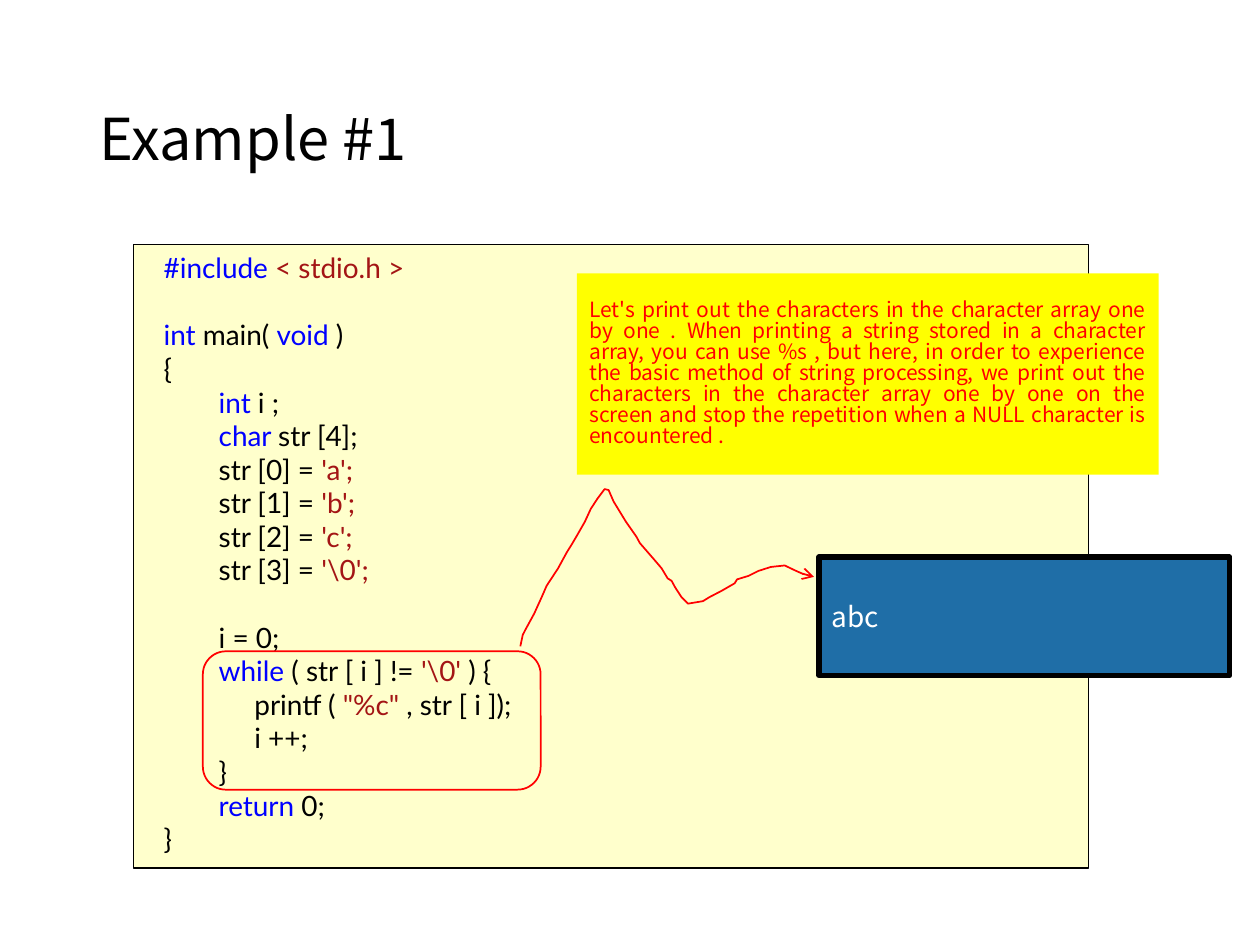
from lxml import etree
from pptx import Presentation
from pptx.dml.color import RGBColor
from pptx.enum.shapes import MSO_SHAPE
from pptx.enum.text import MSO_ANCHOR, PP_ALIGN
from pptx.oxml.ns import qn
from pptx.util import Cm, Pt

RECTANGLE = MSO_SHAPE.RECTANGLE
ROUNDED = MSO_SHAPE.ROUNDED_RECTANGLE
TOP, MIDDLE = MSO_ANCHOR.TOP, MSO_ANCHOR.MIDDLE
LEFT, JUSTIFY = PP_ALIGN.LEFT, PP_ALIGN.JUSTIFY

CODE_FONT = "Lato"
TEXT_FONT = "Noto Sans CJK KR"
CODE_SIZE = 16
CODE_INDENTS = [Cm(0.36), Cm(1.47)]

COLORS = {
    "plain": "000000",
    "keyword": "0000FF",
    "literal": "A31515",
    "code_back": "FFFFCC",
    "accent": "FF0000",
    "note_back": "FFFF00",
    "console": "1F6EA7",
    "console_text": "FFFFFF",
}

CODE = [
    (0, [("#include ", "keyword"), ("< stdio.h >", "literal")]),
    (0, []),
    (0, [("int ", "keyword"), ("main( ", "plain"), ("void ", "keyword"), (")", "plain")]),
    (0, [("{", "plain")]),
    (1, [("int ", "keyword"), ("i ;", "plain")]),
    (1, [("char ", "keyword"), ("str [4];", "plain")]),
    *[(1, [(f"str [{index}] = ", "plain"), (f"'{char}';", "literal")])
      for index, char in enumerate(["a", "b", "c", r"\0"])],
    (1, []),
    (1, [("i = 0;", "plain")]),
    (1, [("while ", "keyword"), ("( str [ i ] != ", "plain"),
         (r"'\0' ", "literal"), (") {", "plain")]),
    (1, [("     printf ( ", "plain"), ('"%c" ', "literal"), (", str [ i ]);", "plain")]),
    (1, [("     i ++;", "plain")]),
    (1, [("}", "plain")]),
    (1, [("return ", "keyword"), ("0;", "plain")]),
    (0, [("}", "plain")]),
]

NOTE = (
    "Let's print out the characters in the character array one by one . "
    "When printing a string stored in a character array, you can use %s , "
    "but here, in order to experience the basic method of string processing, "
    "we print out the characters in the character array one by one on the "
    "screen and stop the repetition when a NULL character is encountered ."
)

ARROW_POINTS = [
    (10.49, 13.03), (10.54, 12.8), (10.59, 12.7), (10.77, 12.37), (10.92, 12.04),
    (11.02, 11.81), (11.25, 11.46), (11.43, 11.13), (11.53, 10.97), (11.63, 10.8),
    (11.79, 10.52), (11.91, 10.26), (12.04, 10.06), (12.19, 9.86), (12.27, 9.88),
    (12.37, 10.11), (12.62, 10.52), (12.83, 10.82), (12.9, 10.95), (13.23, 11.33),
    (13.34, 11.46), (13.46, 11.66), (13.54, 11.71), (13.61, 11.84), (13.74, 12.04),
    (13.87, 12.17), (14.17, 12.12), (14.3, 12.04), (14.55, 11.91), (14.81, 11.76),
    (14.86, 11.68), (15.09, 11.61), (15.29, 11.51), (15.54, 11.43), (15.82, 11.4),
    (16.05, 11.51), (16.21, 11.58), (16.41, 11.63),
]


def color(name):
    return RGBColor.from_string(COLORS[name])


def style(shape, fill=None, line=None, weight=1):
    shape.shadow.inherit = False
    if fill:
        shape.fill.solid()
        shape.fill.fore_color.rgb = color(fill)
    else:
        shape.fill.background()
    if line:
        shape.line.color.rgb = color(line)
        shape.line.width = Pt(weight)
    else:
        shape.line.fill.background()


def add_box(slide, kind, left, top, width, height, **look):
    box = slide.shapes.add_shape(kind, Cm(left), Cm(top), Cm(width), Cm(height))
    style(box, **look)
    return box


def add_run(paragraph, text, size, font, tint):
    run = paragraph.add_run()
    run.text = text
    run.font.size = Pt(size)
    run.font.name = font
    run.font.color.rgb = color(tint)


def set_text(box, text, size, tint, align=LEFT, spacing=None):
    frame = box.text_frame
    frame.word_wrap = True
    frame.vertical_anchor = MIDDLE
    paragraph = frame.paragraphs[0]
    paragraph.alignment = align
    paragraph.line_spacing = spacing
    add_run(paragraph, text, size, TEXT_FONT, tint)


def set_code(box, lines):
    frame = box.text_frame
    frame.word_wrap = True
    frame.vertical_anchor = TOP
    for number, (level, tokens) in enumerate(lines):
        paragraph = frame.add_paragraph() if number else frame.paragraphs[0]
        paragraph.alignment = LEFT
        paragraph.level = level
        properties = paragraph._p.get_or_add_pPr()
        properties.set("marL", str(CODE_INDENTS[level]))
        properties.set("indent", "0")
        for text, tint in tokens:
            add_run(paragraph, text, CODE_SIZE, CODE_FONT, tint)
        if not tokens:
            ending = etree.SubElement(paragraph._p, qn("a:endParaRPr"), sz=str(CODE_SIZE * 100))
            etree.SubElement(ending, qn("a:latin"), typeface=CODE_FONT)


def add_arrow(slide, points):
    start, *rest = [(Cm(x), Cm(y)) for x, y in points]
    builder = slide.shapes.build_freeform(*start)
    builder.add_line_segments(rest, close=False)
    arrow = builder.convert_to_shape()
    style(arrow, line="accent")
    outline = arrow._element.spPr.find(qn("a:ln"))
    etree.SubElement(outline, qn("a:tailEnd"), type="arrow")


def main():
    deck = Presentation()
    deck.slide_width, deck.slide_height = Cm(25.4), Cm(19.05)
    slide = deck.slides.add_slide(deck.slide_layouts[6])

    title = slide.shapes.add_textbox(Cm(1.75), Cm(1.02), Cm(21.9), Cm(3.68))
    set_text(title, "Example #1", 33, "plain", spacing=0.9)

    listing = add_box(slide, RECTANGLE, 2.69, 4.93, 19.25, 12.57,
                      fill="code_back", line="plain", weight=0.75)
    set_code(listing, CODE)
    add_box(slide, ROUNDED, 4.09, 13.13, 6.81, 2.79, line="accent")
    add_arrow(slide, ARROW_POINTS)

    note = add_box(slide, RECTANGLE, 11.63, 5.51, 11.73, 4.06, fill="note_back")
    set_text(note, NOTE, 12, "accent", align=JUSTIFY, spacing=0.83)

    console = add_box(slide, RECTANGLE, 16.51, 11.23, 8.28, 2.39,
                      fill="console", line="plain", weight=3)
    set_text(console, "abc", 16, "console_text")

    deck.save("out.pptx")


if __name__ == "__main__":
    main()
